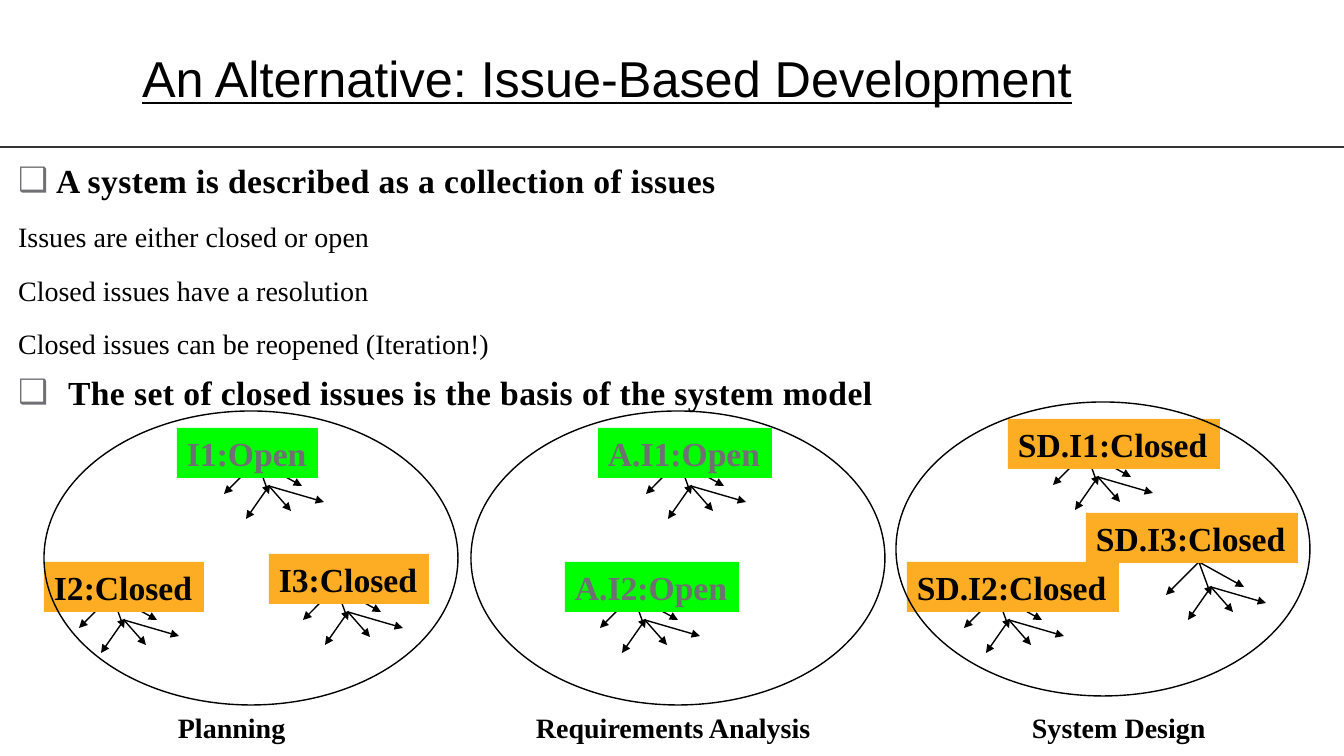
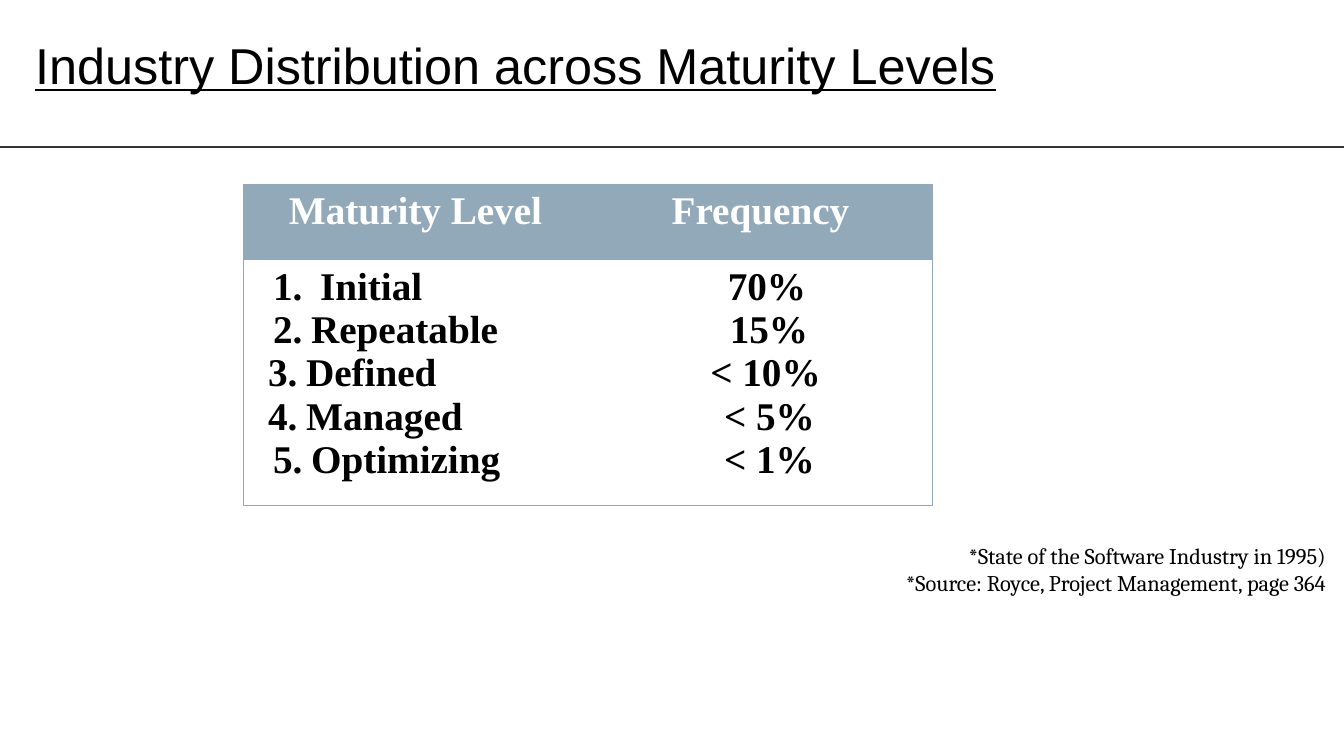
from lxml import etree
from pptx import Presentation
from pptx.dml.color import RGBColor
from pptx.enum.shapes import MSO_CONNECTOR, MSO_SHAPE
from pptx.enum.text import MSO_ANCHOR, MSO_AUTO_SIZE, PP_ALIGN
from pptx.oxml.ns import qn
from pptx.util import Pt

STRAIGHT = MSO_CONNECTOR.STRAIGHT
RECTANGLE, OVAL = MSO_SHAPE.RECTANGLE, MSO_SHAPE.OVAL
TOP, NO_FIT = MSO_ANCHOR.TOP, MSO_AUTO_SIZE.NONE
LEFT, CENTER, RIGHT = PP_ALIGN.LEFT, PP_ALIGN.CENTER, PP_ALIGN.RIGHT

WIDTH, HEIGHT = 1344, 756
EMU_PER_PX = 12192000 / WIDTH
COLORS = {
    "ink": "000000",
    "paper": "FFFFFF",
    "rule": "353537",
    "muted": "6F6F74",
    "open": "00FF00",
    "closed": "FDAD23",
    "header": "92A9B9",
}
SERIF = "Times New Roman"
TITLE = {"name": "Arial", "size": Pt(36), "bold": False, "underline": True}
HEADING = {"name": SERIF, "size": Pt(24), "bold": True}
DETAIL = {"name": SERIF, "size": Pt(20), "bold": False}
CAPTION = {"name": SERIF, "size": Pt(20), "bold": True}
TABLE_TEXT = {"name": SERIF, "size": Pt(28), "bold": True}
FOOTNOTE = {"name": "Cambria", "size": Pt(16), "bold": False}
FRAME = {"word_wrap": True, "auto_size": NO_FIT, "vertical_anchor": TOP}
UNWRAPPED = {**FRAME, "word_wrap": False}

POINTS = [
    ("A system is described as a collection of issues", 38),
    ("Issues are either closed or open", 0),
    ("Closed issues have a resolution", 0),
    ("Closed issues can be reopened (Iteration!)", 0),
    ("The set of closed issues is the basis of the system model", 50),
]
FAN = [
    ((0, 0), (12, 33)),
    ((0, 0), (-33, 33)),
    ((0, 0), (45, 25)),
    ((12, 25), (-11, 58)),
    ((12, 25), (34, 50)),
    ((12, 25), (67, 41)),
]
STAGES = [
    {"box": (44, 411, 414, 294), "caption": ("Planning", 124, 295, 129), "issues": [
        ("I1:Open", 133, 17, 141, (80, 33)),
        ("I2:Closed", 0, 151, 160, (68, 33)),
        ("I3:Closed", 225, 143, 160, (67, 33))]},
    {"box": (471, 411, 414, 294), "caption": ("Requirements Analysis", 55, 295, 296), "issues": [
        ("A.I1:Open", 127, 17, 174, (81, 33)),
        ("A.I2:Open", 94, 151, 174, (68, 33))]},
    {"box": (896, 402, 414, 294), "caption": ("System Design", 126, 304, 193), "issues": [
        ("SD.I1:Closed", 112, 17, 212, (78, 33)),
        ("SD.I2:Closed", 11, 160, 212, (90, 33)),
        ("SD.I3:Closed", 190, 111, 212, (113, 49))]},
]
LEVELS = [
    ("Initial", 20, 47, "70%", 13),
    ("Repeatable", 20, 38, "15%", 17),
    ("Defined", 15, 38, "< 10%", 10),
    ("Managed", 15, 38, "< 5%", 18),
    ("Optimizing", 20, 38, "< 1%", 18),
]
SOURCES = [
    "*State of the Software Industry in 1995)",
    "*Source: Royce, Project Management, page 364",
]


def px(length):
    """Turn pixels into EMU."""
    return round(length * EMU_PER_PX)


def rgb(color):
    """Look up a named colour."""
    return RGBColor.from_string(COLORS[color])


def apply(target, values):
    """Set attributes from a dict of format values."""
    for attribute, value in values.items():
        setattr(target, attribute, value)


def place(shape, box):
    """Move and size a shape to a pixel box."""
    apply(shape, dict(zip(("left", "top", "width", "height"), map(px, box))))


def add_node(parent, tag, **attributes):
    """Append a drawing element with attributes."""
    return etree.SubElement(parent, qn(tag), attributes)


def write(paragraph, text, style, color="ink", align=LEFT):
    """Write one formatted run into a paragraph."""
    paragraph.alignment = align
    run = paragraph.add_run()
    run.text = text
    apply(run.font, style)
    run.font.color.rgb = rgb(color)
    return run


def paragraphs(frame, count):
    """Return the given number of paragraphs of a text frame."""
    return [frame.paragraphs[0]] + [frame.add_paragraph() for _ in range(count - 1)]


def indent(paragraph, margin, hanging=0):
    """Set the left margin and hanging indent, returning the properties."""
    properties = paragraph._p.get_or_add_pPr()
    properties.set("marL", str(px(margin)))
    properties.set("indent", str(-px(hanging)))
    return properties


def add_line(shapes, start, end, color, arrow=False):
    """Draw a thin line, with an arrowhead at its end if asked."""
    line = shapes.add_connector(STRAIGHT, *map(px, start + end))
    line.line.color.rgb = rgb(color)
    line.line.width = Pt(1)
    properties = line.element.spPr
    if arrow:
        add_node(properties.find(qn("a:ln")), "a:tailEnd", type="triangle")
    add_node(properties, "a:effectLst")


def add_framed_slide(deck, layout, title, box):
    """Add a slide with the shared title style and header rule."""
    slide = deck.slides.add_slide(deck.slide_layouts[layout])
    heading = slide.shapes.title
    place(heading, box)
    apply(heading.text_frame, FRAME)
    write(heading.text_frame.paragraphs[0], title, TITLE)
    add_line(slide.shapes, (0, 147), (WIDTH, 147), "rule")
    return slide


def add_points(body, box):
    """Fill the body placeholder with headings and details."""
    place(body, box)
    frame = body.text_frame
    apply(frame, FRAME)
    for paragraph, (text, hanging) in zip(paragraphs(frame, len(POINTS)), POINTS):
        paragraph.level = 0 if hanging else 1
        apply(paragraph, {"space_before": Pt(6 if hanging else 12), "line_spacing": 1.09})
        run = write(paragraph, text, HEADING if hanging else DETAIL)
        properties = indent(paragraph, hanging, hanging)
        if hanging:
            run._r.get_or_add_rPr().set("spc", "30")
            bullet_color = add_node(properties, "a:buClr")
            add_node(bullet_color, "a:srgbClr", val=COLORS["muted"])
            add_node(properties, "a:buChar", char="❑")
        else:
            add_node(properties, "a:buNone")


def add_issue(shapes, text, left, top, width, fan_offset):
    """Draw an issue label in front of its fan of arrows."""
    x, y = left + fan_offset[0], top + fan_offset[1]
    fan = shapes.add_group_shape()
    for (x1, y1), (x2, y2) in FAN:
        add_line(fan.shapes, (x + x1, y + y1), (x + x2, y + y2), "ink", True)
    label = shapes.add_shape(RECTANGLE, *map(px, (left, top, width, 50)))
    is_open = text.endswith("Open")
    label.shadow.inherit = False
    label.fill.solid()
    label.fill.fore_color.rgb = rgb("open" if is_open else "closed")
    label.line.fill.background()
    apply(label.text_frame, UNWRAPPED)
    write(label.text_frame.paragraphs[0], text, HEADING, "muted" if is_open else "ink")


def add_stage(shapes, box, caption, issues):
    """Draw a stage with its issues, outline and caption."""
    left, top = box[:2]
    for text, x, y, width, fan_offset in issues:
        add_issue(shapes, text, left + x, top + y, width, fan_offset)
    outline = shapes.add_shape(OVAL, *map(px, box))
    outline.shadow.inherit = False
    outline.fill.background()
    outline.line.color.rgb = rgb("ink")
    outline.line.width = Pt(1)
    name, x, y, width = caption
    label = shapes.add_textbox(*map(px, (left + x, top + y, width, 44)))
    apply(label.text_frame, UNWRAPPED)
    write(label.text_frame.paragraphs[0], name, CAPTION)


def set_borders(cell, outer):
    """Draw the outer edges of a cell and clear the others."""
    properties = cell._tc.get_or_add_tcPr()
    for position, side in enumerate("LRTB"):
        edge = etree.Element(qn(f"a:ln{side}"), w=str(Pt(0.75)))
        if side in outer:
            add_node(add_node(edge, "a:solidFill"), "a:srgbClr", val=COLORS["header"])
        else:
            add_node(edge, "a:noFill")
        properties.insert(position, edge)


def add_maturity_table(shapes, box):
    """Build the table of maturity levels and frequencies."""
    table = shapes.add_table(2, 2, *map(px, box)).table
    apply(table, {"first_row": False, "horz_banding": False})
    table.rows[0].height = px(76)
    table.rows[1].height = px(box[3] - 76)
    for column, heading in enumerate(("Maturity Level", "Frequency")):
        header, entries = table.cell(0, column), table.cell(1, column)
        header.fill.solid()
        header.fill.fore_color.rgb = rgb("header")
        entries.fill.background()
        side = "LR"[column]
        set_borders(header, side + "T")
        set_borders(entries, side + "B")
        write(header.text_frame.paragraphs[0], heading, TABLE_TEXT, "paper", CENTER)
    names, frequencies = (
        paragraphs(table.cell(1, column).text_frame, len(LEVELS)) for column in range(2))
    rows = zip(names, frequencies, LEVELS)
    for number, (name, frequency, level) in enumerate(rows, 1):
        text, start, gap, share, shift = level
        write(name, text, TABLE_TEXT)
        add_node(indent(name, start + gap, gap), "a:buAutoNum",
                 type="arabicPeriod", startAt=str(number))
        write(frequency, share, TABLE_TEXT, align=CENTER)
        indent(frequency, shift)


def add_sources(shapes, box):
    """Place the right-aligned source notes."""
    frame = shapes.add_textbox(*map(px, box)).text_frame
    apply(frame, FRAME)
    for paragraph, source in zip(paragraphs(frame, len(SOURCES)), SOURCES):
        write(paragraph, source, FOOTNOTE, align=RIGHT)


def build_issues_slide(deck):
    """Build the slide on issue-based development."""
    slide = add_framed_slide(
        deck, 1, "An Alternative: Issue-Based Development", (132, 42, 1135, 72))
    add_points(slide.placeholders[1], (8, 151, 1213, 542))
    for stage in STAGES:
        add_stage(slide.shapes, **stage)


def build_maturity_slide(deck):
    """Build the slide on maturity levels."""
    slide = add_framed_slide(
        deck, 5, "Industry Distribution across Maturity Levels", (25, 29, 1318, 72))
    add_maturity_table(slide.shapes, (243, 184, 690, 321))
    add_sources(slide.shapes, (739, 537, 597, 65))


def main():
    """Build and save the deck."""
    deck = Presentation()
    apply(deck, {"slide_width": px(WIDTH), "slide_height": px(HEIGHT)})
    build_issues_slide(deck)
    build_maturity_slide(deck)
    deck.save("out.pptx")


if __name__ == "__main__":
    main()
